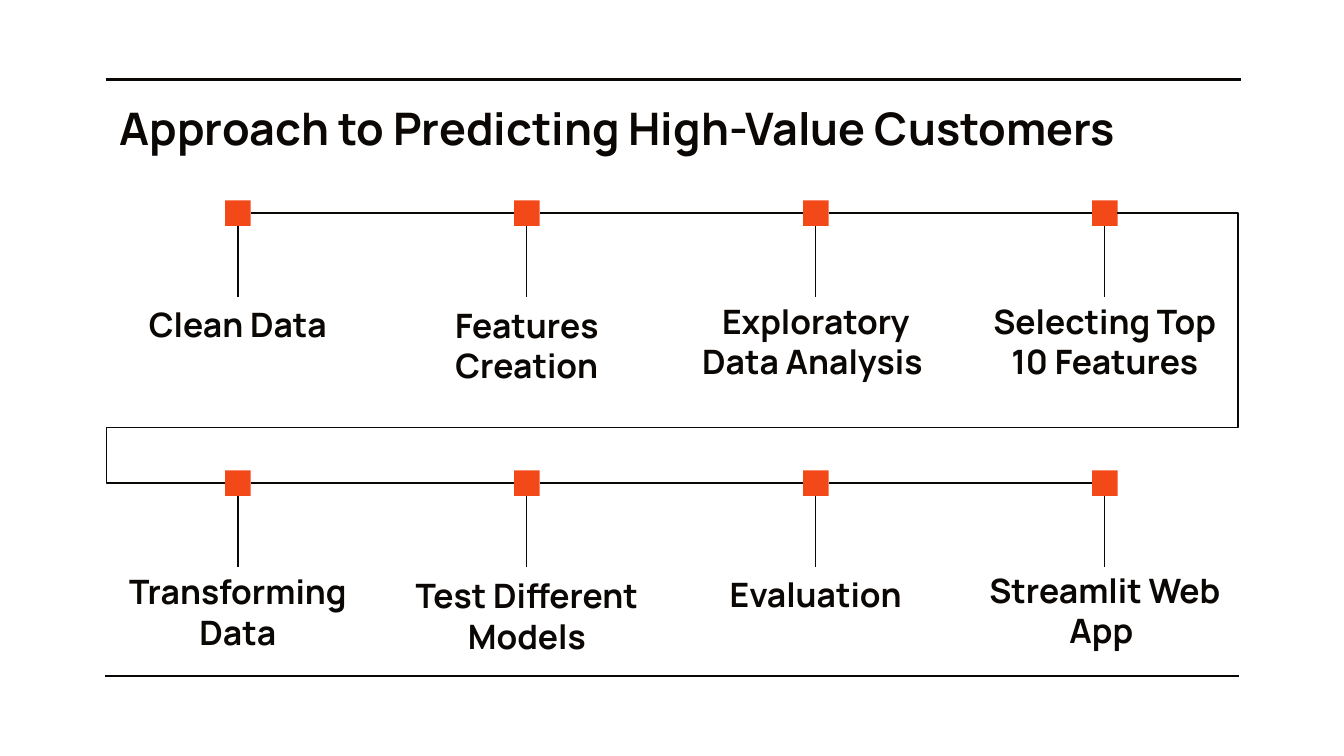
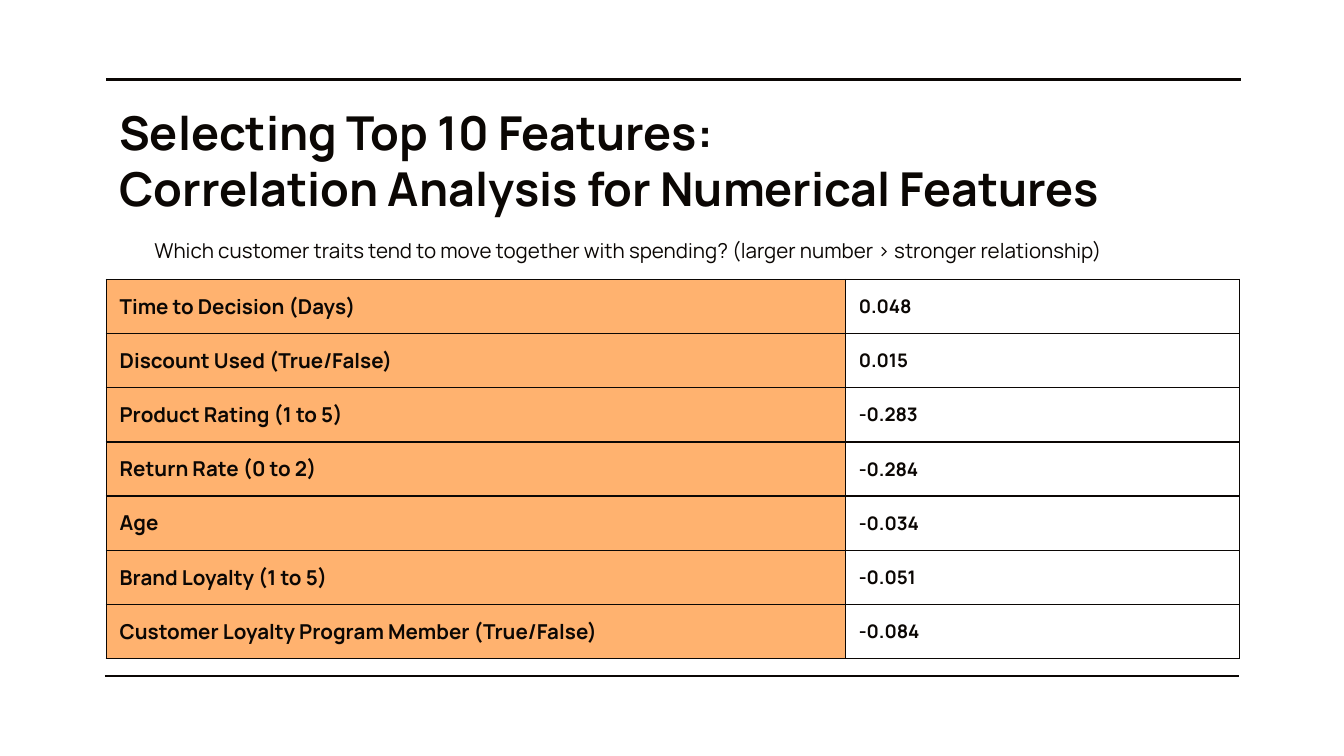
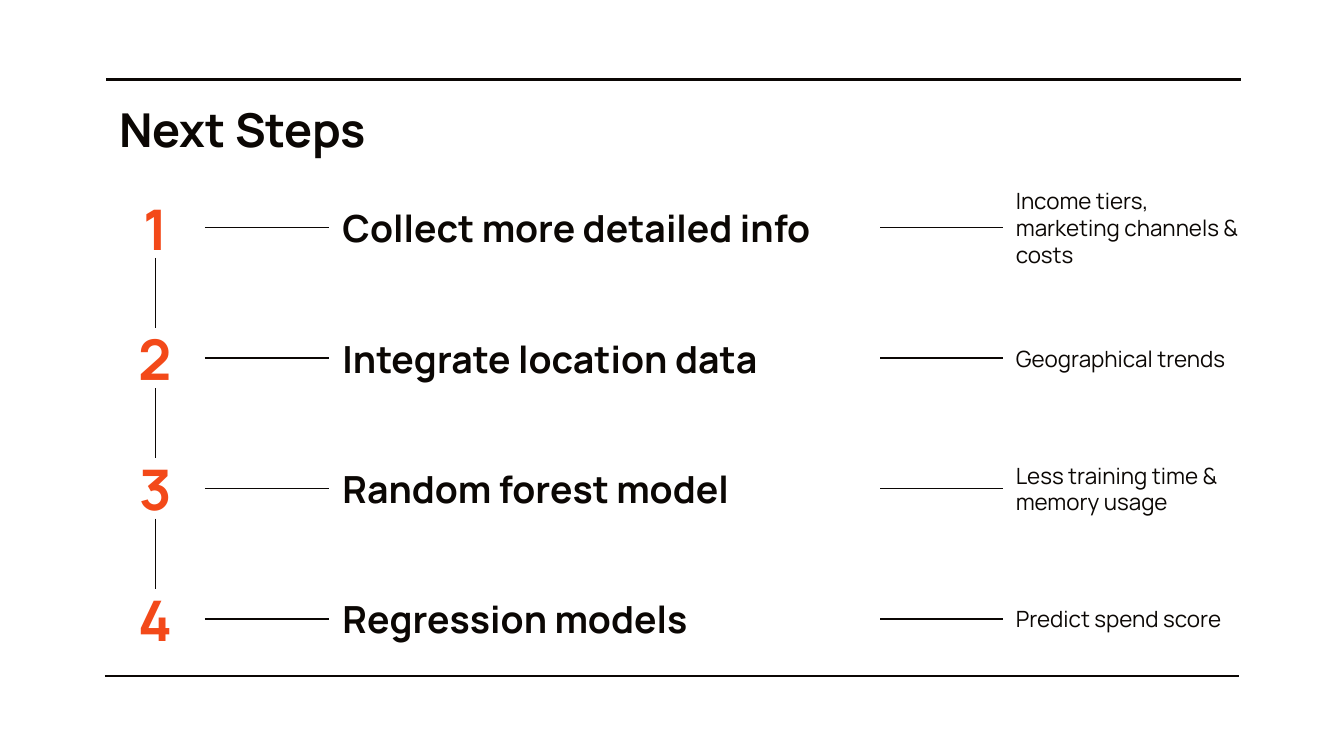
from dataclasses import dataclass
from typing import Any

from lxml.etree import SubElement
from pptx import Presentation
from pptx.dml.color import RGBColor
from pptx.enum.shapes import MSO_CONNECTOR as Connector, MSO_SHAPE as Preset
from pptx.enum.text import MSO_ANCHOR as Anchor, PP_ALIGN as Align
from pptx.oxml.ns import qn
from pptx.util import Emu, Pt

# Shared look: 200 px to the inch
EMU_PER_PX = 4572
FONT = "Manrope"
INK, ORANGE, PEACH, WHITE = "0B0704", "F34919", "FFB26F", "FFFFFF"
TOP, LEFT, BOTTOM, RIGHT = range(4)
INSET = 20
FRAME_LEFT, FRAME_WIDTH = 158, 1686
THIN, THICK = 0.75, 1.5


@dataclass(frozen=True)
class Style:
    size: float
    bold: bool = True
    color: str = INK
    align: Any = Align.LEFT
    anchor: Any = Anchor.TOP
    space_after: float = 0


@dataclass(frozen=True)
class Box:
    left: int
    top: int
    width: int
    height: int


@dataclass(frozen=True)
class Stage:
    label: str
    height: int


@dataclass(frozen=True)
class NextStep:
    action: str
    reason: str
    reason_width: int = 378
    reason_height: int = 90


SUBTITLE = Style(11, bold=False)
STAGE_LABEL = Style(18, align=Align.CENTER, anchor=Anchor.BOTTOM)
FEATURE = Style(11, anchor=Anchor.MIDDLE)
SCORE = Style(10, anchor=Anchor.MIDDLE, space_after=16)
NUMBER = Style(30, color=ORANGE, align=Align.CENTER, anchor=Anchor.MIDDLE)
ACTION = Style(20, anchor=Anchor.MIDDLE)
REASON = Style(12, bold=False, anchor=Anchor.MIDDLE)


def px(length: int) -> Emu:
    return Emu(length * EMU_PER_PX)


def rgb(color: str) -> RGBColor:
    return RGBColor.from_string(color)


def apply(target: Any, values: dict[str, Any]) -> None:
    for attribute, value in values.items():
        setattr(target, attribute, value)


def place(box: Box) -> tuple[Emu, ...]:
    return px(box.left), px(box.top), px(box.width), px(box.height)


def write(paragraph: Any, text: str, style: Style) -> None:
    paragraph.text = text
    apply(paragraph, {"alignment": style.align, "space_after": Pt(style.space_after)})
    for run in paragraph.runs:
        apply(run.font, {"name": FONT, "size": Pt(style.size), "bold": style.bold})
        run.font.color.rgb = rgb(style.color)


def add_text(slide: Any, box: Box, text: str, style: Style) -> Any:
    area = slide.shapes.add_textbox(*place(box))
    sides = ("left", "top", "right", "bottom")
    apply(area.text_frame, {f"margin_{side}": px(INSET) for side in sides})
    apply(area.text_frame, {"word_wrap": True, "vertical_anchor": style.anchor})
    write(area.text_frame.paragraphs[0], text, style)
    return area


def add_line(slide: Any, start: tuple[int, int], end: tuple[int, int],
             weight: float = THIN, kind: Any = Connector.STRAIGHT) -> Any:
    line = slide.shapes.add_connector(kind, *map(px, start + end))
    line.line.width = Pt(weight)
    line.line.color.rgb = rgb(INK)
    SubElement(line._element.spPr, qn("a:effectLst"))
    return line


def join(slide: Any, first: Any, first_side: int, second: Any, second_side: int) -> None:
    line = add_line(slide, (0, 0), (0, 0))
    line.begin_connect(first, first_side)
    line.end_connect(second, second_side)


def add_framed_slide(deck: Any, title: str, size: float, title_top: int = 130,
                     title_height: int = 126) -> Any:
    slide = deck.slides.add_slide(deck.slide_layouts[6])
    slide.background.fill.solid()
    slide.background.fill.fore_color.rgb = rgb(WHITE)
    add_line(slide, (158, 118), (1846, 118), THICK)
    add_line(slide, (156, 1006), (1844, 1006), THICK)
    add_text(slide, Box(FRAME_LEFT, title_top, FRAME_WIDTH, title_height), title, Style(size))
    return slide


# Slide 1: two rows of stages on one winding path
STAGE_ROWS = (
    (Stage("Clean Data", 90), Stage("Features Creation", 152),
     Stage("Exploratory Data Analysis ", 146), Stage("Selecting Top 10 Features", 146)),
    (Stage("Transforming Data", 146), Stage("Test Different Models", 152),
     Stage("Evaluation", 90), Stage("Streamlit Web App ", 144)),
)
ROW_CENTERS = (317, 719)
STAGE_CENTER, STAGE_PITCH, STAGE_WIDTH = 354, 430, 396
MARKER, LABEL_DROP = 38, 125


def add_marker(slide: Any, center: int, middle: int) -> Any:
    half = MARKER // 2
    marker = slide.shapes.add_shape(
        Preset.RECTANGLE, *place(Box(center - half, middle - half, MARKER, MARKER)))
    marker.shadow.inherit = False
    marker.fill.solid()
    marker.fill.fore_color.rgb = rgb(ORANGE)
    marker.line.fill.background()
    return marker


def add_stage_row(slide: Any, stages: tuple[Stage, ...], middle: int) -> list[Any]:
    centers = [STAGE_CENTER + i * STAGE_PITCH for i in range(len(stages))]
    markers = [add_marker(slide, center, middle) for center in centers]
    for stage, center, marker in zip(stages, centers, markers):
        box = Box(center - STAGE_WIDTH // 2, middle + LABEL_DROP, STAGE_WIDTH, stage.height)
        label = add_text(slide, box, stage.label, STAGE_LABEL)
        join(slide, marker, BOTTOM, label, TOP)
    for marker, following in zip(markers, markers[1:]):
        join(slide, marker, RIGHT, following, LEFT)
    return markers


def add_return_path(slide: Any, last: Any, first: Any) -> None:
    """Wind from the end of the upper row round to the start of the lower one."""
    right_turn, crossing, left_turn = 1842, 636, 158
    upper, lower = ROW_CENTERS
    start = STAGE_CENTER + 3 * STAGE_PITCH + MARKER // 2
    end = STAGE_CENTER - MARKER // 2
    path = add_line(slide, (start, upper), (end, lower), kind=Connector.ELBOW)
    path.begin_connect(last, RIGHT)
    path.end_connect(first, LEFT)
    bends = ((right_turn - start) / (end - start),
             (crossing - upper) / (lower - upper),
             (left_turn - start) / (end - start))
    geometry = path._element.spPr.find(qn("a:prstGeom"))
    geometry.set("prst", "bentConnector5")
    guides = geometry.find(qn("a:avLst"))
    for number, bend in enumerate(bends, 1):
        SubElement(guides, qn("a:gd"), name=f"adj{number}", fmla=f"val {round(bend * 100000)}")


def build_approach(deck: Any) -> None:
    slide = add_framed_slide(deck, "Approach to Predicting High-Value Customers", 24)
    upper, lower = [add_stage_row(slide, stages, middle)
                    for stages, middle in zip(STAGE_ROWS, ROW_CENTERS)]
    add_return_path(slide, upper[-1], lower[0])


# Slide 2: correlation table
CORRELATIONS = (
    ("Time to Decision (Days)", "0.048"),
    ("Discount Used (True/False)", "0.015"),
    ("Product Rating (1 to 5)", "-0.283"),
    ("Return Rate (0 to 2)", "-0.284"),
    ("Age", "-0.034"),
    ("Brand Loyalty (1 to 5)", "-0.051"),
    ("Customer Loyalty Program Member (True/False)", "-0.084"),
)
COLUMN_WIDTHS = (1100, 586)


def add_borders(cell: Any) -> None:
    properties = cell._tc.get_or_add_tcPr()
    for position, edge in enumerate(("lnL", "lnR", "lnT", "lnB")):
        border = SubElement(properties, qn(f"a:{edge}"), w=str(Pt(THIN)))
        fill = SubElement(border, qn("a:solidFill"))
        SubElement(fill, qn("a:srgbClr"), val=INK)
        properties.insert(position, border)


def fill_cell(cell: Any, text: str, style: Style, color: str) -> None:
    apply(cell, {"margin_left": px(INSET), "margin_right": px(INSET),
                 "margin_top": 0, "margin_bottom": 0, "vertical_anchor": style.anchor})
    cell.fill.solid()
    cell.fill.fore_color.rgb = rgb(color)
    add_borders(cell)
    write(cell.text_frame.paragraphs[0], text, style)


def build_correlations(deck: Any) -> None:
    slide = add_framed_slide(
        deck, "Selecting Top 10 Features: \nCorrelation Analysis for Numerical Features",
        25, title_top=134, title_height=202)
    area = Box(FRAME_LEFT, 416, FRAME_WIDTH, 564)
    table = slide.shapes.add_table(len(CORRELATIONS), 2, *place(area)).table
    apply(table, {"first_row": False, "horz_banding": False})
    for column, width in zip(table.columns, COLUMN_WIDTHS):
        column.width = px(width)
    for row, (feature, score) in zip(table.rows, CORRELATIONS):
        fill_cell(row.cells[0], feature, FEATURE, PEACH)
        fill_cell(row.cells[1], score, SCORE, WHITE)
    add_text(slide, Box(210, 336, 1580, 80),
             "Which customer traits tend to move together with spending? "
             "(larger number > stronger relationship)", SUBTITLE)


# Slide 3: numbered next steps
NEXT_STEPS = (
    NextStep("Collect more detailed info", "Income tiers, marketing channels & costs",
             reason_height=144),
    NextStep("Integrate location data", "Geographical trends"),
    NextStep("Random forest model", "Less training time & memory usage", reason_width=350),
    NextStep("Regression models", "Predict spend score"),
)
STEP_TOP, STEP_PITCH, STEP_HEIGHT = 294, 194, 90


def build_next_steps(deck: Any) -> None:
    slide = add_framed_slide(deck, "Next Steps", 25)
    numbers = []
    for i, step in enumerate(NEXT_STEPS):
        top = STEP_TOP + i * STEP_PITCH
        reason_top = top + (STEP_HEIGHT - step.reason_height) // 2
        number = add_text(slide, Box(158, top, 147, STEP_HEIGHT), str(i + 1), NUMBER)
        action = add_text(slide, Box(490, top, 820, STEP_HEIGHT), step.action, ACTION)
        reason = add_text(slide, Box(1492, reason_top, step.reason_width, step.reason_height),
                          step.reason, REASON)
        join(slide, number, RIGHT, action, LEFT)
        join(slide, reason, LEFT, action, RIGHT)
        numbers.append(number)
    for number, following in zip(numbers, numbers[1:]):
        join(slide, number, BOTTOM, following, TOP)


def main() -> None:
    deck = Presentation()
    apply(deck, {"slide_width": px(2000), "slide_height": px(1125)})
    for build in (build_approach, build_correlations, build_next_steps):
        build(deck)
    deck.save("out.pptx")


if __name__ == "__main__":
    main()
